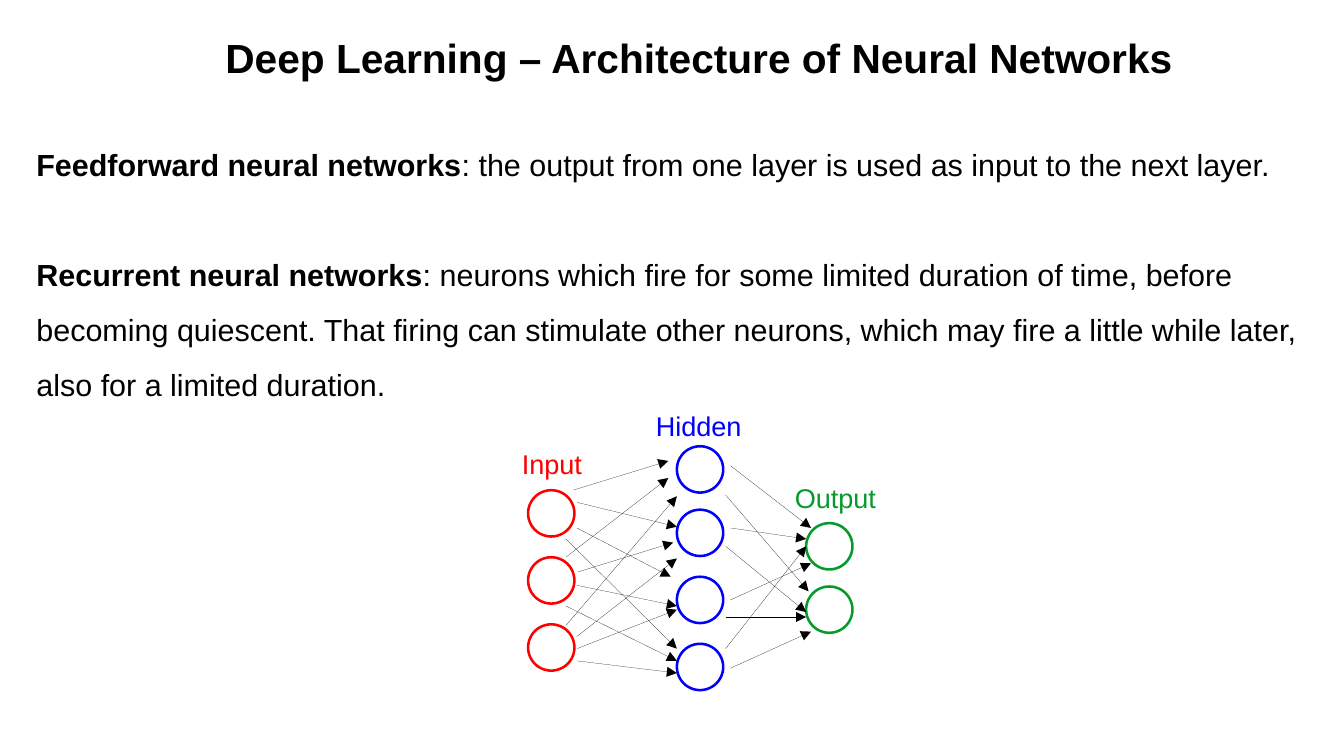
from lxml.etree import SubElement
from pptx import Presentation
from pptx.dml.color import RGBColor
from pptx.enum.shapes import MSO_CONNECTOR, MSO_SHAPE
from pptx.oxml.ns import qn
from pptx.util import Inches, Pt

COLORS = {"black": "000000", "input": "FF0000", "hidden": "0000FF", "output": "069A2E"}

BODY = [
    [("Feedforward neural networks", True),
     (": the output from one layer is used as input to the next layer.", False)],
    [("Recurrent neural networks", True),
     (": neurons which fire for some limited duration of time, before becoming quiescent. "
      "That firing can stimulate other neurons, which may fire a little while later, "
      "also for a limited duration.", False)],
]

LAYERS = [
    ("Input", "input", (41.8, 36.2, 9.1, 3.5), 43.3, (40.2, 45.7, 51.2)),
    ("Hidden", "hidden", (52.8, 33.1, 11, 3.5), 55.5, (36.6, 41.8, 47.3, 52.8)),
    ("Output", "output", (64.2, 39, 10.6, 3.5), 66.1, (42.9, 48.1)),
]

INPUT_TO_HIDDEN = [
    ((47, 40.2), (54.8, 37.8)), ((47.3, 41.2), (55.5, 43.2)),
    ((47.3, 43.3), (55, 47.3)), ((46.4, 44.2), (55.5, 53.2)),
    ((46.4, 45.7), (54.8, 39.2)), ((47.4, 46.9), (55.2, 44.5)),
    ((47.3, 48), (55.5, 49.7)), ((46.4, 49.7), (55.5, 54.2)),
    ((46.4, 51.3), (55.5, 40.7)), ((47.3, 52.2), (55.5, 45.8)),
    ((47.3, 53.2), (55.5, 50)), ((47.3, 54.2), (55.5, 55.2)),
]
HIDDEN_TO_OUTPUT = [
    ((59.9, 38.2), (66.5, 43.3)), ((59.5, 40.6), (66.3, 48.5)),
    ((59.9, 43.3), (66.1, 44.2)), ((59.5, 44.8), (66.1, 50.2)),
    ((59.9, 49.2), (66.5, 46.2)), ((59.5, 50.6), (66.1, 50.6)),
    ((59.9, 54.8), (66.5, 51.8)), ((59.5, 53.2), (66.1, 44.8)),
]


class NetworkSlide:
    """Draws text, neurons and arrows on a grid of tenth-inch columns and rows."""

    font_name = "Arial"
    cell = Inches(0.1)
    neuron_size = 3.8

    def __init__(self, presentation):
        self.slide = presentation.slides.add_slide(presentation.slide_layouts[6])

    def grid(self, *lengths):
        return [round(length * self.cell) for length in lengths]

    def color(self, name):
        return RGBColor.from_string(COLORS[name])

    def text(self, box, paragraphs, size, color="black", line_spacing=None, gap=0):
        text_frame = self.slide.shapes.add_textbox(*self.grid(*box)).text_frame
        text_frame.word_wrap = True
        for index, parts in enumerate(paragraphs):
            paragraph = text_frame.add_paragraph() if index else text_frame.paragraphs[0]
            paragraph.line_spacing = line_spacing
            if index:
                paragraph.space_before = Pt(gap)
            for content, bold in parts:
                run = paragraph.add_run()
                run.text = content
                run.font.name = self.font_name
                run.font.size = Pt(size)
                run.font.bold = bold
                run.font.color.rgb = self.color(color)

    def neuron(self, column, row, color):
        box = self.grid(column, row, self.neuron_size, self.neuron_size)
        shape = self.slide.shapes.add_shape(MSO_SHAPE.OVAL, *box)
        shape.shadow.inherit = False
        shape.fill.background()
        shape.line.color.rgb = self.color(color)
        shape.line.width = Pt(1.5)

    def arrow(self, start, end):
        connector = self.slide.shapes.add_connector(
            MSO_CONNECTOR.STRAIGHT, *self.grid(*start, *end))
        connector.line.color.rgb = self.color("black")
        element = connector.element
        element.remove(element.find(qn("p:style")))
        properties = element.spPr
        SubElement(properties.find(qn("a:ln")), qn("a:tailEnd"), type="triangle")
        SubElement(properties, qn("a:effectLst"))


def main():
    presentation = Presentation()
    presentation.slide_width = Inches(11.02)
    presentation.slide_height = Inches(6.2)
    slide = NetworkSlide(presentation)
    title = "Deep Learning – Architecture of Neural Networks"
    slide.text((17.5, 2.2, 80.7, 4.7), [[(title, True)]], 24)
    slide.text((2, 10, 106.1, 23.5), BODY, 18, line_spacing=1.5, gap=32.5)
    for label, color, label_box, column, rows in LAYERS:
        for row in rows:
            slide.neuron(column, row, color)
        slide.text(label_box, [[(label, False)]], 16, color)
    for start, end in INPUT_TO_HIDDEN + HIDDEN_TO_OUTPUT:
        slide.arrow(start, end)
    presentation.save("out.pptx")


if __name__ == "__main__":
    main()
